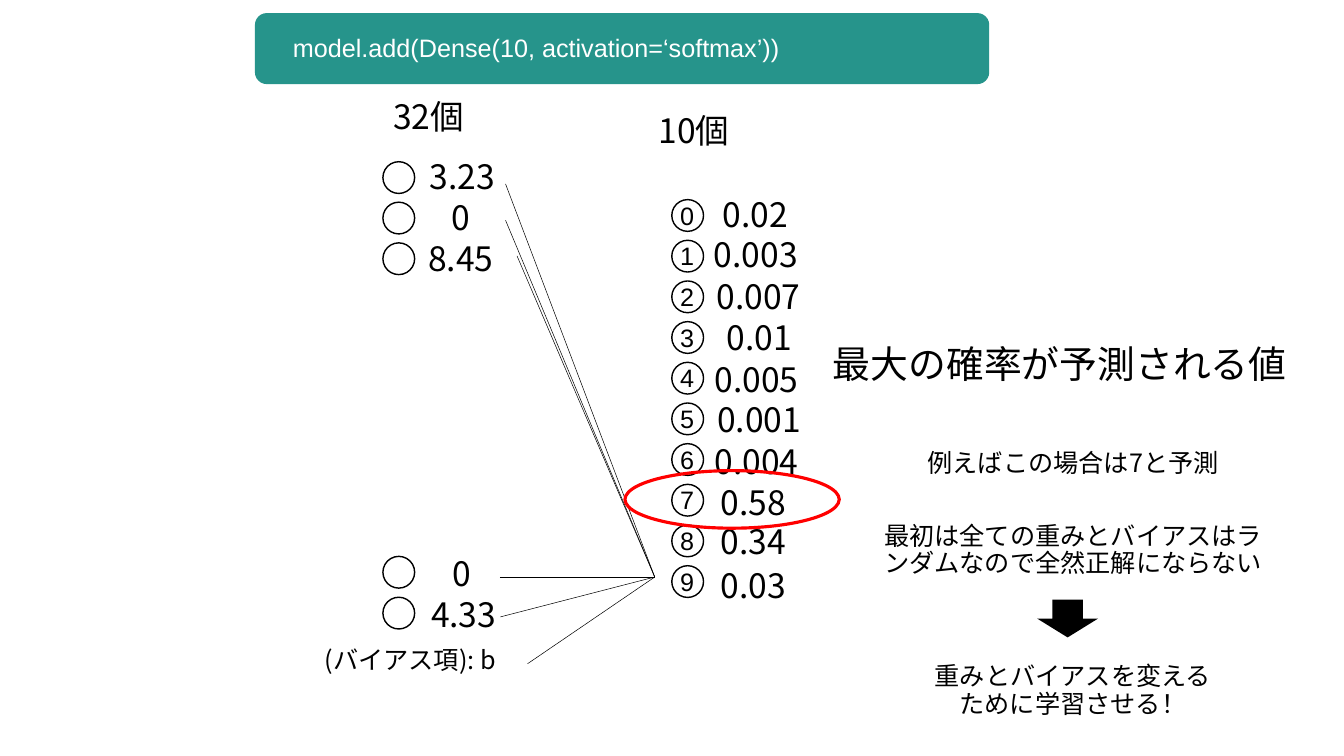
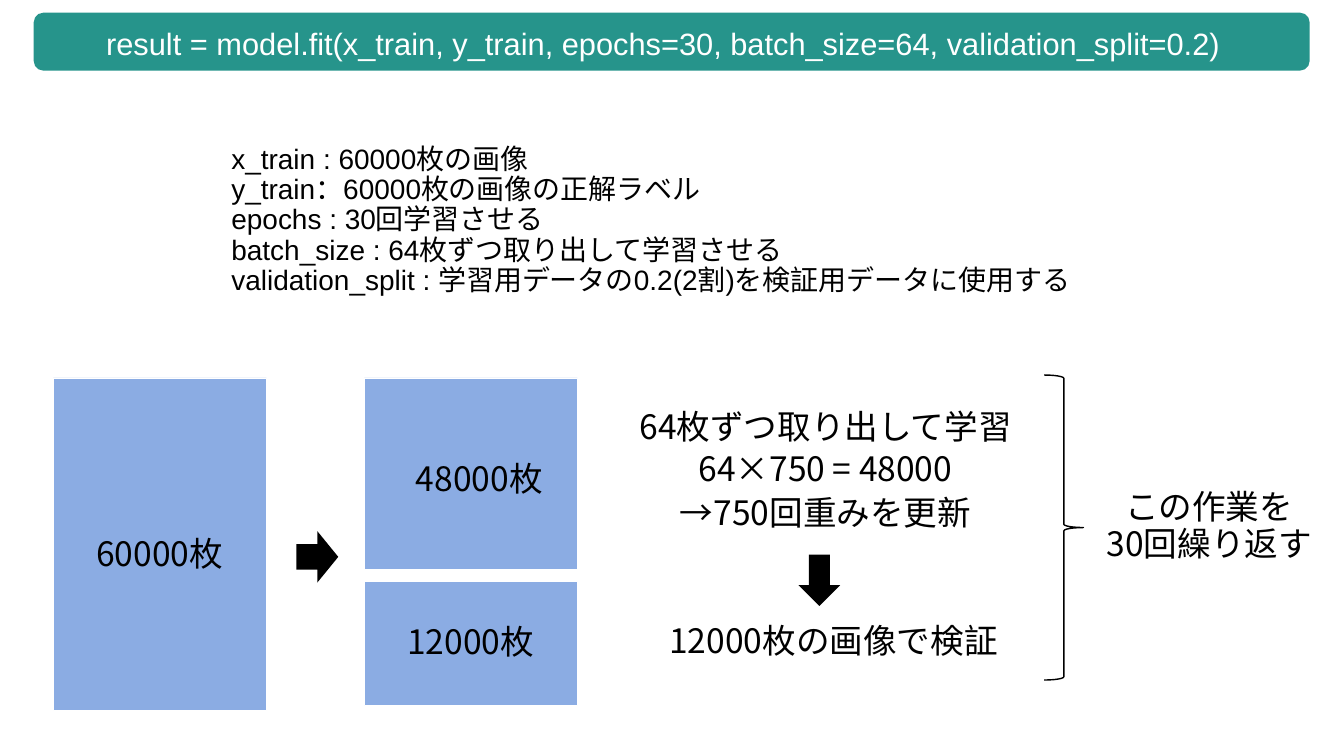
from collections import namedtuple

from lxml.etree import SubElement
from pptx import Presentation
from pptx.dml.color import RGBColor
from pptx.enum.shapes import MSO_CONNECTOR, MSO_SHAPE
from pptx.enum.text import MSO_ANCHOR, MSO_AUTO_SIZE, PP_ALIGN
from pptx.oxml.ns import qn
from pptx.util import Cm, Pt

ELLIPSE = MSO_SHAPE.OVAL
ROUNDED = MSO_SHAPE.ROUNDED_RECTANGLE
RECTANGLE = MSO_SHAPE.RECTANGLE
ARROW = MSO_SHAPE.RIGHT_ARROW
BRACE = MSO_SHAPE.LEFT_BRACE
STRAIGHT = MSO_CONNECTOR.STRAIGHT
LEFT, CENTER = PP_ALIGN.LEFT, PP_ALIGN.CENTER

BLACK = RGBColor(0x00, 0x00, 0x00)
WHITE = RGBColor(0xFF, 0xFF, 0xFF)
TEAL = RGBColor(0x26, 0x94, 0x8B)
BLUE = RGBColor(0x8B, 0xAC, 0xE3)
RED = RGBColor(0xFF, 0x00, 0x00)

CODE_FONT = "Arial"
BODY_FONT = "Noto Sans CJK JP"
FRAME_FORMAT = {"word_wrap": True, "auto_size": MSO_AUTO_SIZE.SHAPE_TO_FIT_TEXT}
TIGHT_FORMAT = {
    "vertical_anchor": MSO_ANCHOR.MIDDLE,
    **{f"margin_{side}": Cm(0.15) for side in ("left", "top", "right", "bottom")},
}
DIAMETER = 1.6
PITCH = 2.05
LINE_HEIGHT = 2.11

Box = namedtuple("Box", "left top width height")


def inside(box, left, top, width, height):
    """Return a box placed relative to the corner of another box."""
    return Box(box.left + left, box.top + top, width, height)


def apply_format(target, values):
    """Set every attribute named in a dict of format values."""
    for name, value in values.items():
        setattr(target, name, value)


def add_text(page, box, lines, size=48, font=BODY_FONT, color=BLACK, align=CENTER, frame_format=None):
    """Add a wrapping text box with one paragraph per line."""
    frame = page.shapes.add_textbox(*map(Cm, box)).text_frame
    apply_format(frame, {**FRAME_FORMAT, **(frame_format or {})})
    for index, line in enumerate(lines):
        para = frame.add_paragraph() if index else frame.paragraphs[0]
        apply_format(para, {"alignment": align, "line_spacing": 0.9})
        span = para.add_run()
        span.text = line
        apply_format(span.font, {"size": Pt(size), "name": font})
        span.font.color.rgb = color
        SubElement(span._r.get_or_add_rPr(), qn("a:ea"), typeface=BODY_FONT)


def add_figure(page, kind, box, fill=None, line=None, weight=2, rotation=0):
    """Add a preset shape with an optional fill and outline."""
    shape = page.shapes.add_shape(kind, *map(Cm, box))
    shape.shadow.inherit = False
    shape.rotation = rotation
    if fill is None:
        shape.fill.background()
    else:
        shape.fill.solid()
        shape.fill.fore_color.rgb = fill
    if line is None:
        shape.line.fill.background()
    else:
        shape.line.color.rgb = line
        shape.line.width = Pt(weight)


def add_code_bar(page, box, text_box, code, size, align=LEFT, frame_format=None):
    """Draw the teal band with a line of code on it."""
    add_figure(page, ROUNDED, box, fill=TEAL)
    add_text(page, inside(box, *text_box), [code], size, CODE_FONT, WHITE, align, frame_format)


def add_neurons(page, box, heading, rows):
    """Draw a column of circles, each with its digit and value."""
    add_text(page, inside(box, *heading[1:], 8.51, LINE_HEIGHT), [heading[0]])
    for digit, top, value, shift, lift, width in rows:
        add_figure(page, ELLIPSE, inside(box, 0, top, DIAMETER, DIAMETER), line=BLACK)
        if digit:
            add_text(page, inside(box, -0.51, top + 0.07, 2.57, 1.65), [digit], 36, CODE_FONT)
        add_text(page, inside(box, shift, top + lift, width, LINE_HEIGHT), [value])


def add_weights(page, box, starts, target):
    """Draw the thin lines that run from the inputs to one output."""
    for start in starts:
        ends = [Cm(box[axis] + point[axis]) for point in (start, target) for axis in (0, 1)]
        line = page.shapes.add_connector(STRAIGHT, *ends)
        line.line.color.rgb = BLACK
        line.line.width = Pt(0.75)
        SubElement(line._element.spPr, qn("a:effectLst"))


def add_prediction_notes(page, box):
    """Write the explanation of the predicted value."""
    add_text(page, inside(box, 0, 0, box.width, 2.34), ["最大の確率が予測される値"], 54, align=LEFT)
    notes = [
        ("例えばこの場合は7と予測", (3.86, 5.29, 16.99, 1.65)),
        ("最初は全ての重みとバイアスはランダムなので全然正解にならない", (2.21, 8.94, 20.29, 3.02)),
        ("重みとバイアスを変えるために学習させる！", (4.83, 16.03, 15.04, 3.02)),
    ]
    for note, place in notes:
        add_text(page, inside(box, *place), [note], 36)
    add_figure(page, ARROW, inside(box, 11.13, 12.32, 1.9, 3.07), fill=BLACK, rotation=90)


def add_data_split(page, box):
    """Draw the data set and its training and validation parts."""
    blocks = [
        ("60000枚", (0, 0, 10.74, 16.74), (-0.71, 7.92, 12.14)),
        ("48000枚", (15.67, 0, 10.74, 9.63), (14.51, 4.11, 13.92)),
        ("12000枚", (15.67, 10.26, 10.74, 6.25), (16.64, 12.34, 8.79)),
    ]
    for label, place, label_place in blocks:
        add_figure(page, RECTANGLE, inside(box, *place), BLUE, WHITE, 1)
        add_text(page, inside(box, *label_place, LINE_HEIGHT), [label])
    add_figure(page, ARROW, inside(box, 12.25, 7.72, 2.11, 2.59), fill=BLACK)


def add_training_loop(page, box):
    """Write the steps of one epoch and the brace that repeats them."""
    steps = [
        ("64枚ずつ取り出して学習", 0, 1.67, 20.98),
        ("64×750 = 48000", 2.23, 3.78, 16.51),
        ("→750回重みを更新", 2.23, 5.99, 16.51),
        ("12000枚の画像で検証", 0.83, 12.44, 20.12),
    ]
    for step, left, top, width in steps:
        add_text(page, inside(box, left, top, width, LINE_HEIGHT), [step])
    add_figure(page, ARROW, inside(box, 8.88, 9.29, 2.59, 2.11), fill=BLACK, rotation=90)
    add_figure(page, BRACE, inside(box, 21.51, 0, 1.98, box.height), line=BLACK, rotation=180)
    add_text(page, inside(box, 23.46, 5.71, 12.73, 3.96), ["この作業を", "30回繰り返す"])


def build_softmax_slide(page):
    """Show the softmax layer and how its result is read."""
    add_code_bar(
        page, Box(12.85, 0.66, 37.01, 3.58), (1.76, 0.97, 36.88, 1.68),
        "model.add(Dense(10, activation=‘softmax’))", 36, frame_format=TIGHT_FORMAT,
    )
    inputs = [
        ("", 0, "3.23", 1.5, -0.18, 5),
        ("", 2.04, "0", 1.42, -0.15, 5),
        ("", 4.09, "8.45", 1.42, -0.13, 5),
        ("", 19.89, "0", 1.5, -0.05, 5),
        ("", 21.95, "4.33", 1.57, -0.08, 5),
    ]
    outputs = [
        ("0.02", 1.7, -0.18, 5),
        ("0.003", 0.76, -0.2, 6.96),
        ("0.007", 1.5, -0.14, 5.74),
        ("0.01", 1.9, -0.13, 5),
        ("0.005", 1.4, -0.05, 5.74),
        ("0.001", 1.47, -0.09, 5.87),
        ("0.004", 1.55, -0.03, 5.44),
        ("0.58", 1.62, -0.03, 5),
        ("0.34", 1.62, -0.09, 5),
        ("0.03", 1.62, 0.07, 5),
    ]
    numbered = [(str(digit), digit * PITCH, *row) for digit, row in enumerate(outputs)]
    starts = [(0.28, 0), (0.28, 1.83), (0.86, 3.63), (0, 19.81), (0.02, 21.82), (1.39, 24.18)]
    add_weights(page, Box(25.2, 9.27, 7.8, 24.18), starts, (7.8, 19.81))
    add_neurons(page, Box(19.3, 8.15, 6.5, 23.55), ("32個", -1.95, -3.2), inputs)
    add_neurons(page, Box(33.86, 10.06, 7, 20.05), ("10個", -3.13, -4.42), numbered)
    add_text(page, Box(14.4, 32.54, 12.55, 1.65), ["(バイアス項): b"], 36)
    add_prediction_notes(page, Box(41.73, 17.32, 24.69, 19.05))
    add_figure(page, ELLIPSE, Box(31.5, 23.72, 10.8, 2.9), line=RED, weight=4.5)


def build_training_slide(page):
    """Explain the arguments of fit and the training loop."""
    add_code_bar(
        page, Box(1.7, 0.64, 64.31, 2.92), (-0.61, 0.71, 64.74, 1.96),
        "result = model.fit(x_train, y_train, epochs=30, batch_size=64, validation_split=0.2)", 44, CENTER,
    )
    arguments = [
        "x_train : 60000枚の画像",
        "y_train：60000枚の画像の正解ラベル",
        "epochs : 30回学習させる",
        "batch_size : 64枚ずつ取り出して学習させる",
        "validation_split : 学習用データの0.2(2割)を検証用データに使用する",
    ]
    add_text(
        page, Box(11.51, 7.14, 43.66, 7.98), arguments, 40, CODE_FONT,
        align=LEFT, frame_format=TIGHT_FORMAT,
    )
    add_data_split(page, Box(2.69, 19.05, 26.41, 16.74))
    add_training_loop(page, Box(31.12, 18.9, 36.19, 15.37))


def main():
    """Build the deck and save it."""
    deck = Presentation()
    apply_format(deck, {"slide_width": Cm(67.74), "slide_height": Cm(38.1)})
    for build in (build_softmax_slide, build_training_slide):
        build(deck.slides.add_slide(deck.slide_layouts[6]))
    deck.save("out.pptx")


if __name__ == "__main__":
    main()
